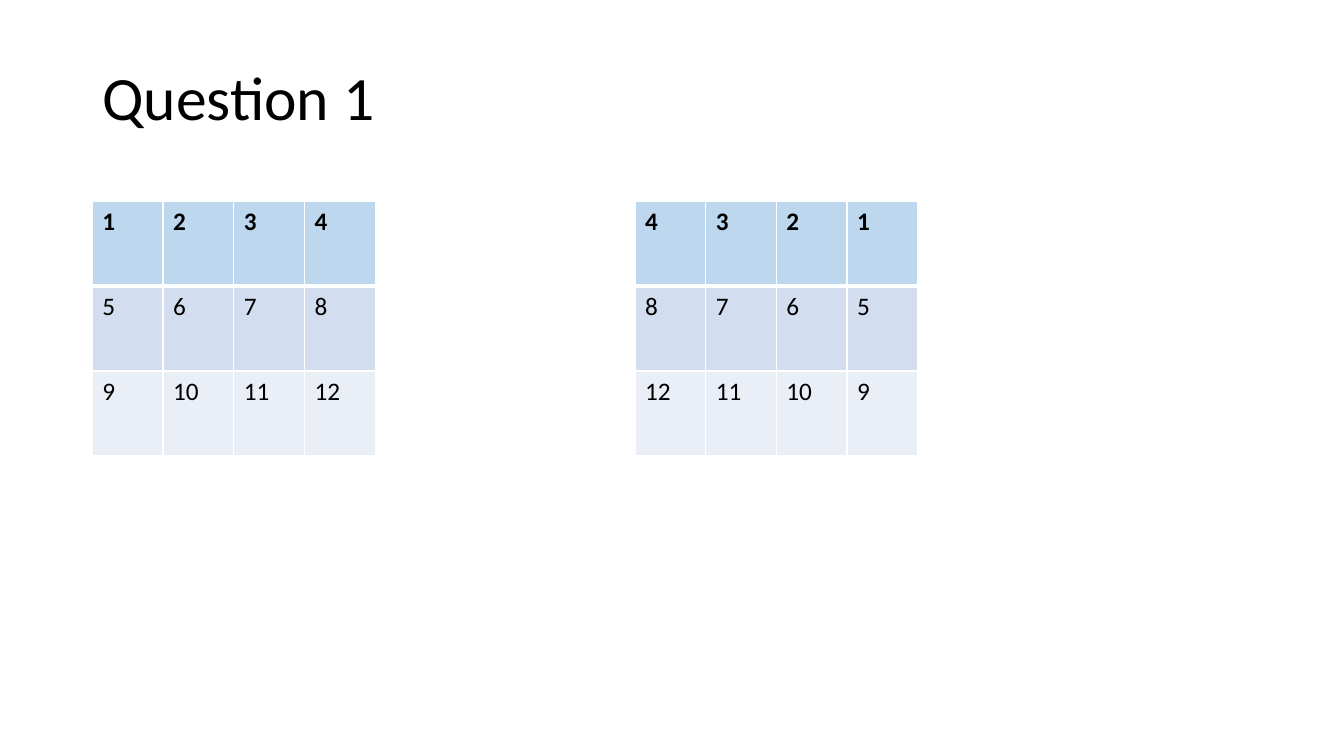
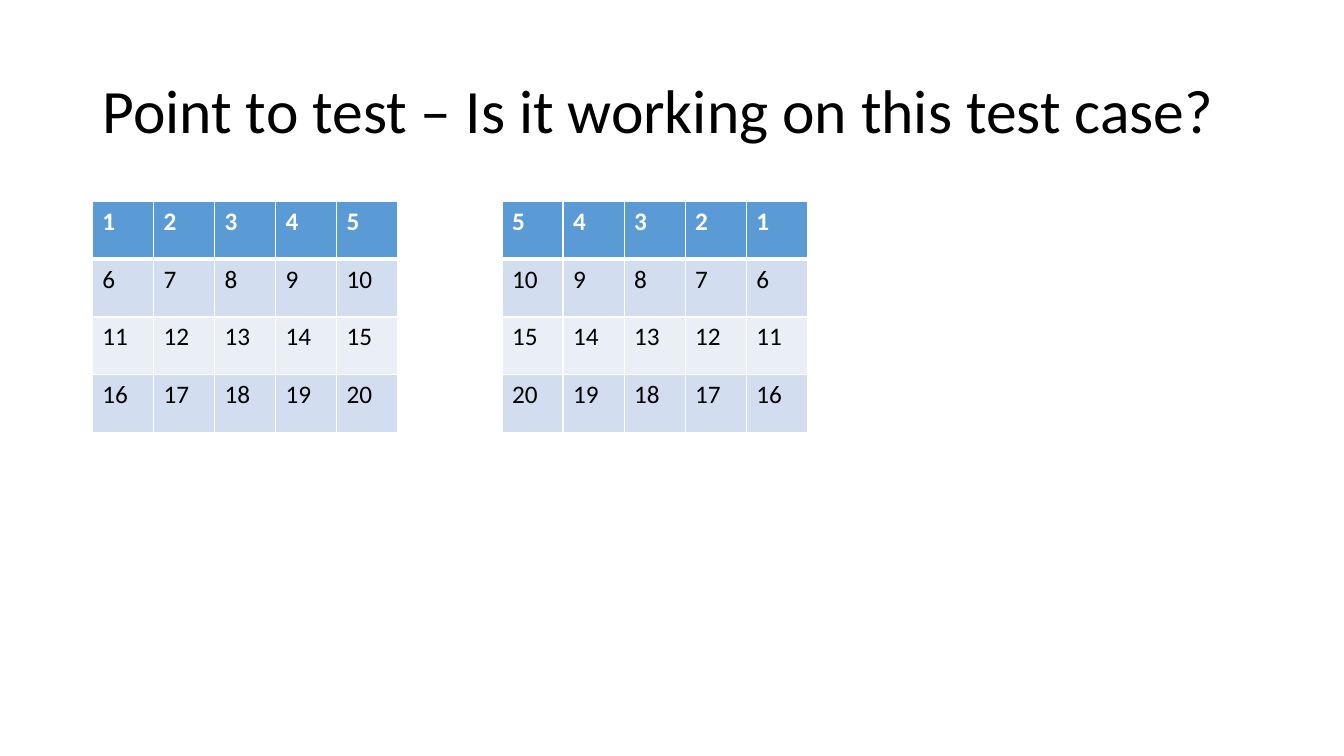
"""Build two slides that show number grids beside their mirror images."""
from dataclasses import dataclass

from lxml.etree import SubElement
from pptx import Presentation
from pptx.dml.color import RGBColor
from pptx.enum.text import MSO_ANCHOR, MSO_AUTO_SIZE, PP_ALIGN
from pptx.oxml.ns import qn
from pptx.util import Pt


@dataclass(frozen=True)
class Theme:
    font: str = "Calibri"
    title_size: float = 44
    cell_size: float = 18
    ink: str = "000000"
    white: str = "FFFFFF"
    pale_blue: str = "BDD7EE"
    blue: str = "5B9BD5"
    bands: tuple = ("D2DEEF", "EAEFF7")
    thin: float = 1
    thick: float = 3
    left: float = 66
    table_top: float = 144
    title_width: float = 828
    title_height: float = 104.5


class Deck:
    def __init__(self, theme):
        self.theme = theme
        self.prs = Presentation()
        self.prs.slide_width, self.prs.slide_height = Pt(960), Pt(540)
        self.s = None

    def slide(self, title, top):
        t = self.theme
        self.s = self.prs.slides.add_slide(self.prs.slide_layouts[5])
        sp = self.s.shapes.title
        place = dict(left=t.left, top=top, width=t.title_width, height=t.title_height)
        self.apply(sp, {name: Pt(value) for name, value in place.items()})
        tf = sp.text_frame
        self.apply(tf, dict(word_wrap=True, auto_size=MSO_AUTO_SIZE.NONE,
                            vertical_anchor=MSO_ANCHOR.MIDDLE))
        p = tf.paragraphs[0]
        self.apply(p, dict(alignment=PP_ALIGN.LEFT, line_spacing=0.9))
        self.run(p, title, t.title_size, t.ink)

    def table(self, rows, left, col_width, row_height, header_fill, header_ink):
        t = self.theme
        n_rows, n_cols = len(rows), len(rows[0])
        table = self.s.shapes.add_table(
            n_rows, n_cols, Pt(left), Pt(t.table_top),
            Pt(col_width * n_cols), Pt(row_height * n_rows)).table
        for i, row in enumerate(rows):
            header = i == 0
            fill = header_fill if header else t.bands[(i - 1) % 2]
            ink = header_ink if header else t.ink
            borders = dict(lnL=t.thin, lnR=t.thin,
                           lnT=t.thick if i == 1 else t.thin,
                           lnB=t.thick if header else t.thin)
            for j, value in enumerate(row):
                cell = table.cell(i, j)
                self.borders(cell, borders)
                cell.fill.solid()
                cell.fill.fore_color.rgb = RGBColor.from_string(fill)
                self.run(cell.text_frame.paragraphs[0], str(value), t.cell_size, ink, header)

    def mirror_pair(self, n_rows, n_cols, right, **style):
        rows = [[i * n_cols + j + 1 for j in range(n_cols)] for i in range(n_rows)]
        self.table(rows, self.theme.left, **style)
        self.table([row[::-1] for row in rows], right, **style)

    def borders(self, cell, widths):
        tcPr = cell._tc.get_or_add_tcPr()
        for tag, width in widths.items():
            ln = SubElement(tcPr, qn(f"a:{tag}"), w=str(Pt(width)))
            SubElement(SubElement(ln, qn("a:solidFill")), qn("a:srgbClr"), val=self.theme.white)

    def run(self, p, text, size, color, bold=False):
        r = p.add_run()
        r.text = text
        self.apply(r.font, dict(name=self.theme.font, size=Pt(size), bold=bold))
        r.font.color.rgb = RGBColor.from_string(color)

    @staticmethod
    def apply(target, values):
        for name, value in values.items():
            setattr(target, name, value)


def main():
    theme = Theme()
    deck = Deck(theme)
    deck.slide("Question 1", top=19.5)
    deck.mirror_pair(3, 4, right=453.6, col_width=50.5, row_height=60.5,
                     header_fill=theme.pale_blue, header_ink=theme.ink)
    deck.slide("Point to test – Is it working on this test case?", top=28.8)
    deck.mirror_pair(4, 5, right=358.6, col_width=43.6, row_height=41.2,
                     header_fill=theme.blue, header_ink=theme.white)
    deck.prs.save("out.pptx")


if __name__ == "__main__":
    main()
